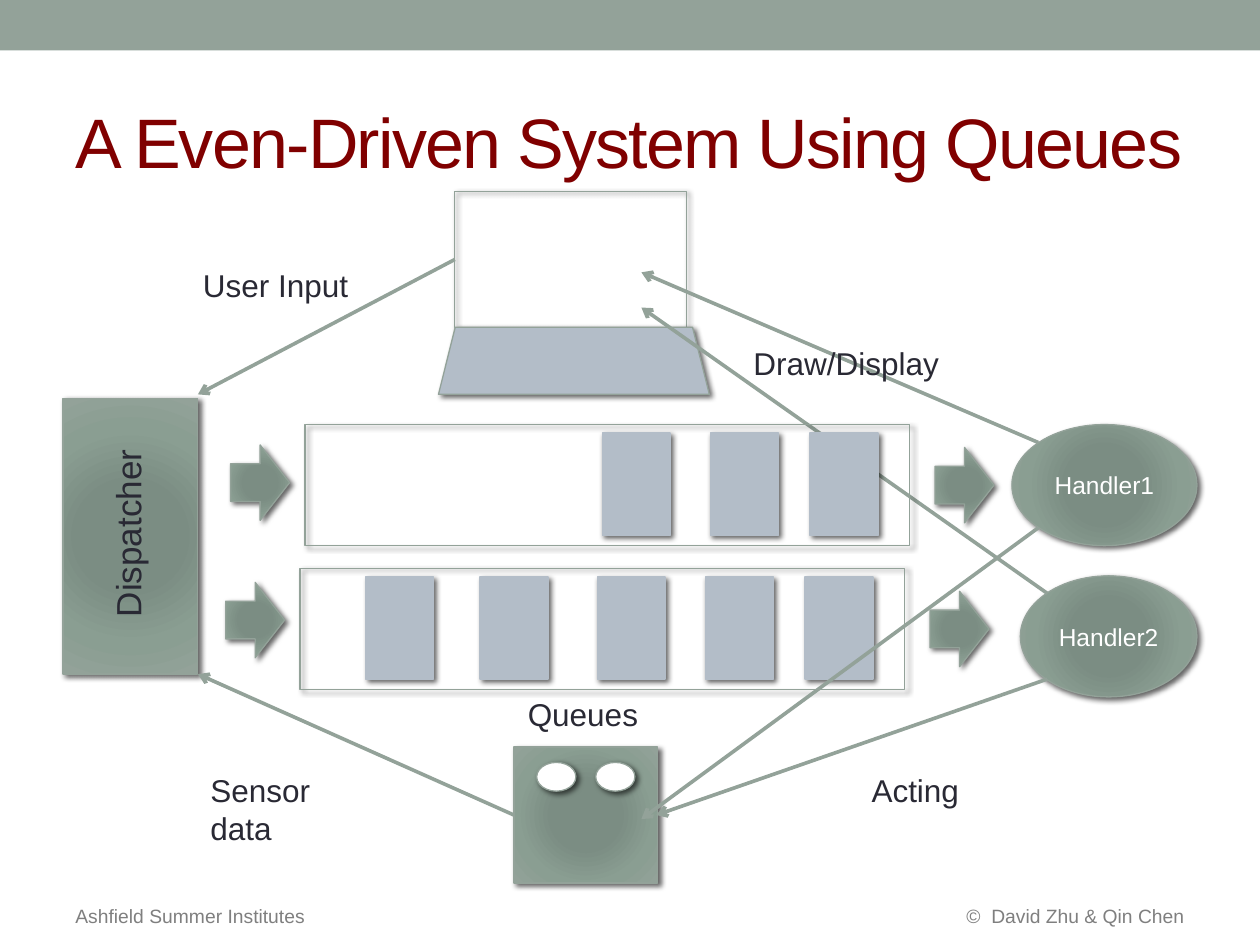
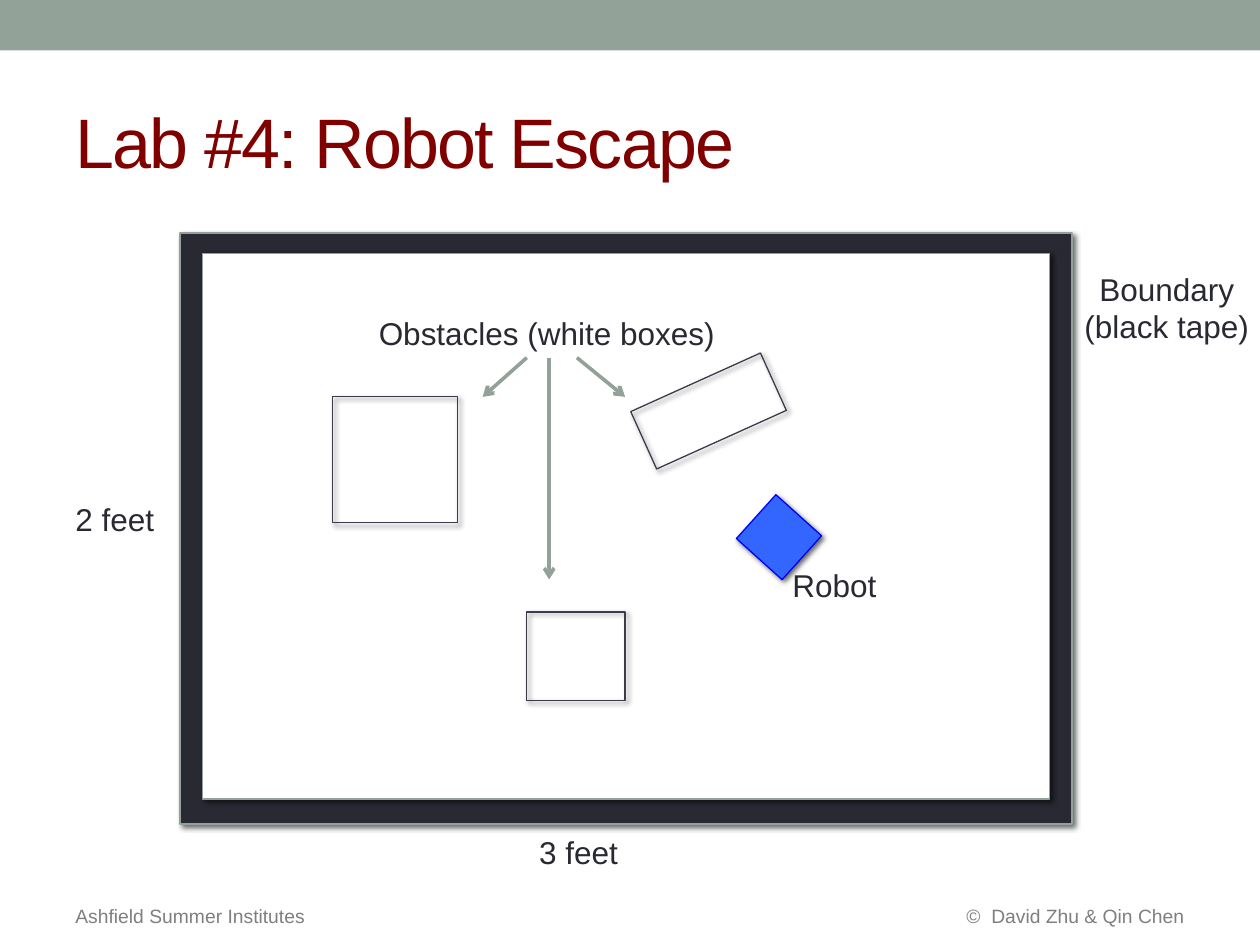
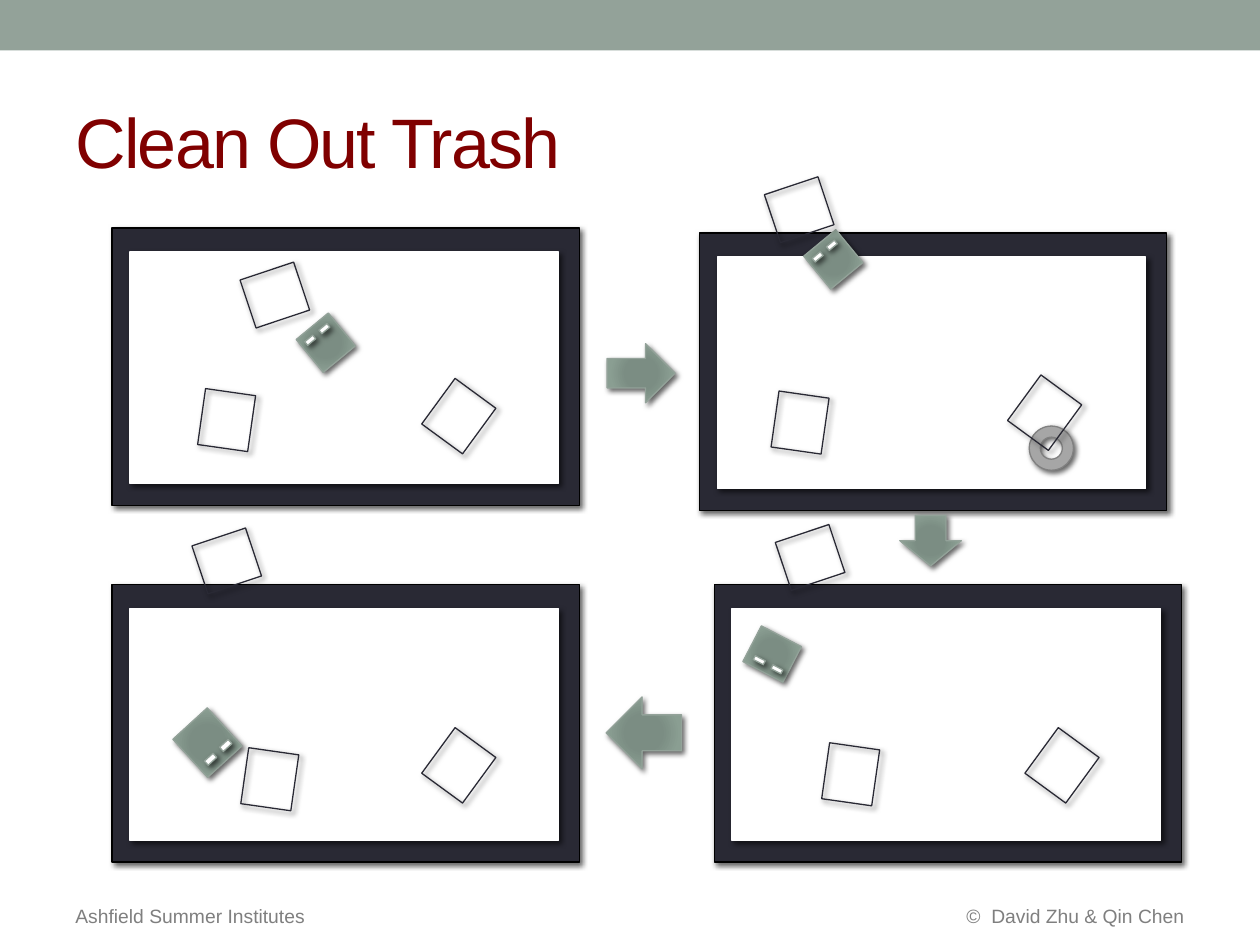
from dataclasses import dataclass

from pptx import Presentation
from pptx.dml.color import RGBColor
from pptx.enum.shapes import MSO_CONNECTOR, MSO_SHAPE
from pptx.enum.text import MSO_ANCHOR, PP_ALIGN
from pptx.oxml import parse_xml
from pptx.oxml.ns import nsdecls, qn
from pptx.util import Cm, Pt

RECT, OVAL, DONUT = MSO_SHAPE.RECTANGLE, MSO_SHAPE.OVAL, MSO_SHAPE.DONUT
TRAPEZOID = MSO_SHAPE.TRAPEZOID
RIGHT, DOWN, LEFT = MSO_SHAPE.RIGHT_ARROW, MSO_SHAPE.DOWN_ARROW, MSO_SHAPE.LEFT_ARROW
STRAIGHT = MSO_CONNECTOR.STRAIGHT
AL_LEFT, AL_CENTER, AL_RIGHT = PP_ALIGN.LEFT, PP_ALIGN.CENTER, PP_ALIGN.RIGHT
MIDDLE, BOTTOM = MSO_ANCHOR.MIDDLE, MSO_ANCHOR.BOTTOM

FONT = "Arial"
COLORS = {
    "sage": "93A299", "title": "800000", "ink": "292934", "footer": "7F7F7F",
    "block": "B3BDC8", "white": "FFFFFF", "black": "000000", "outline": "3B3B4B",
    "robot": "3366FF", "robot_line": "0000FF", "ring": "A6A6A6", "ring_line": "808080",
}
GRADIENT = "gradient"
GRADIENT_STOPS = ((0, "7B8E82"), (34, "7B8D83"), (70, "8A9E92"), (100, "93A299"))
FOOTER = (("Ashfield Summer Institutes", AL_LEFT), ("©  David Zhu & Qin Chen", AL_RIGHT))


# Element descriptions, lengths in centimetres
@dataclass
class Box:
    left: float
    top: float
    width: float
    height: float
    fill: str | None = None
    line: str = "sage"
    kind: int = RECT
    rot: float = 0
    text: str = ""


@dataclass
class Label:
    text: str
    left: float
    top: float
    width: float
    height: float = 1.02
    align: int = AL_LEFT
    size: int = 18
    rot: float = 0


@dataclass
class Arrow:
    x1: float
    y1: float
    x2: float
    y2: float


@dataclass
class Queue:
    left: float
    top: float
    events: int
    arrow_drop: float


@dataclass
class Robot:
    left: float
    top: float
    width: float
    height: float
    rot: float


@dataclass
class Room:
    left: float
    top: float
    robot: Robot
    trash: tuple[tuple[float, float], ...]


def rgb(name: str) -> RGBColor:
    return RGBColor.from_string(COLORS[name])


def format_text(tf, size: float, color: str, align: int) -> None:
    for p in tf.paragraphs:
        p.alignment = align
        for r in p.runs:
            r.font.name = FONT
            r.font.size = Pt(size)
            r.font.color.rgb = rgb(color)


# Drawing functions
def set_gradient(s) -> None:
    s.fill.gradient()
    spPr = s.element.spPr
    stops = "".join(f'<a:gs pos="{pos * 1000}"><a:srgbClr val="{color}"/></a:gs>'
                    for pos, color in GRADIENT_STOPS)
    spPr.replace(spPr.find(qn("a:gradFill")), parse_xml(
        f'<a:gradFill {nsdecls("a")} rotWithShape="1"><a:gsLst>{stops}</a:gsLst>'
        '<a:path path="circle"><a:fillToRect l="100000" t="100000" r="100000" b="100000"/>'
        '</a:path></a:gradFill>'))


def add_shadow(s) -> None:
    s.shadow.inherit = False
    s.element.spPr.find(qn("a:effectLst")).append(parse_xml(
        f'<a:outerShdw {nsdecls("a")} blurRad="{Pt(3)}" dist="{Pt(2)}" dir="2700000" '
        'algn="ctr" rotWithShape="0"><a:srgbClr val="000000"><a:alpha val="60000"/>'
        '</a:srgbClr></a:outerShdw>'))


def draw_box(slide, box: Box) -> None:
    s = slide.shapes.add_shape(box.kind, Cm(box.left), Cm(box.top),
                               Cm(box.width), Cm(box.height))
    s.rotation = box.rot
    if box.fill is None:
        s.fill.background()
    elif box.fill == GRADIENT:
        set_gradient(s)
    else:
        s.fill.solid()
        s.fill.fore_color.rgb = rgb(box.fill)
    s.line.color.rgb = rgb(box.line)
    s.line.width = Pt(0.75)
    add_shadow(s)
    if box.text:
        s.text_frame.text = box.text
        s.text_frame.vertical_anchor = MIDDLE
        format_text(s.text_frame, 14, "white", AL_CENTER)


def draw_label(slide, label: Label) -> None:
    s = slide.shapes.add_textbox(Cm(label.left), Cm(label.top),
                                 Cm(label.width), Cm(label.height))
    s.rotation = label.rot
    tf = s.text_frame
    tf.word_wrap = False
    tf.text = label.text
    format_text(tf, label.size, "ink", label.align)


def draw_arrow(slide, arrow: Arrow) -> None:
    s = slide.shapes.add_connector(STRAIGHT, Cm(arrow.x1), Cm(arrow.y1),
                                   Cm(arrow.x2), Cm(arrow.y2))
    s.line.color.rgb = rgb("sage")
    s.line.width = Pt(2.08)
    spPr = s.element.spPr
    spPr.find(qn("a:ln")).append(parse_xml(f'<a:tailEnd {nsdecls("a")} type="arrow"/>'))
    spPr.append(parse_xml(f'<a:effectLst {nsdecls("a")}/>'))


def draw_all(slide, items) -> None:
    draw = {Box: draw_box, Label: draw_label, Arrow: draw_arrow}
    for item in items:
        draw[type(item)](slide, item)


# Shared slide frame: band, footer, title
def draw_footer(slide) -> None:
    table = slide.shapes.add_table(1, 2, Cm(1.27), Cm(17.98), Cm(22.86), Cm(0.97)).table
    table.first_row = table.horz_banding = False
    for cell, (text, align) in zip(table.rows[0].cells, FOOTER):
        cell.fill.background()
        cell.vertical_anchor = BOTTOM
        cell.margin_left = cell.margin_right = Cm(0.25)
        cell.margin_top = cell.margin_bottom = Cm(0.25)
        cell.text_frame.text = text
        format_text(cell.text_frame, 11, "footer", align)


def new_slide(prs, title: str):
    slide = prs.slides.add_slide(prs.slide_layouts[6])
    band = slide.shapes.add_shape(RECT, 0, 0, prs.slide_width, Cm(1.02))
    band.shadow.inherit = False
    band.fill.solid()
    band.fill.fore_color.rgb = rgb("sage")
    band.line.fill.background()
    draw_footer(slide)
    tf = slide.shapes.add_textbox(Cm(1.27), Cm(1.47), Cm(22.86), Cm(2.74)).text_frame
    tf.word_wrap = True
    tf.vertical_anchor = MIDDLE
    tf.text = title
    format_text(tf, 40, "title", AL_LEFT)
    tf.paragraphs[0].runs[0].font._element.set("spc", "-100")
    return slide


# Slide 1: event-driven system
EVENT_SLOTS = (1.32, 3.63, 5.99, 8.17, 10.18)


def draw_queue(slide, queue: Queue) -> None:
    x, y = queue.left, queue.top
    draw_box(slide, Box(x, y, 12.19, 2.44))
    for dx, dy in ((-1.5, queue.arrow_drop), (12.7, 0.46)):
        draw_box(slide, Box(x + dx, y + dy, 1.19, 1.52, GRADIENT, kind=RIGHT))
    for slot in EVENT_SLOTS[-queue.events:]:
        draw_box(slide, Box(x + slot, y + 0.17, 1.37, 2.06, "block", "block"))


def build_queues(prs) -> None:
    slide = new_slide(prs, "A Even-Driven System Using Queues")
    draw_queue(slide, Queue(6.05, 11.46, 5, 0.28))
    draw_all(slide, (
        # Robot with two eyes, dispatcher, laptop
        Box(10.36, 15.06, 2.9, 2.74, GRADIENT),
        *(Box(x, 15.37, 0.79, 0.58, "white", kind=OVAL) for x in (10.82, 12.01)),
        Box(1.27, 8.03, 2.72, 5.56, GRADIENT),
        Box(9.17, 3.86, 4.67, 2.74),
        Box(8.84, 6.6, 5.46, 1.35, "block", kind=TRAPEZOID),
        # Handlers and their actions
        Box(20.57, 11.61, 3.56, 2.44, GRADIENT, kind=OVAL, text="Handler2"),
        Arrow(21.11, 11.96, 12.93, 6.2),
        Arrow(21.11, 13.69, 13.23, 16.43),
        Arrow(10.36, 16.43, 3.99, 13.59),
        Box(20.4, 8.56, 3.73, 2.44, GRADIENT, kind=OVAL, text="Handler1"),
        Arrow(20.93, 8.92, 12.93, 5.49),
        Arrow(20.93, 10.64, 12.93, 16.51),
    ))
    draw_queue(slide, Queue(6.15, 8.56, 3, 0.41))
    draw_all(slide, (
        Arrow(9.17, 5.23, 3.99, 7.95),
        Label("Sensor\ndata", 3.99, 15.42, 2.54, 1.8),
        Label("Acting", 17.32, 15.42, 2.34),
        Label("Draw/Display", 14.94, 6.81, 4.29),
        Label("Dispatcher", 0.61, 10.16, 3.94, 1.12, size=20, rot=270),
        Label("User Input", 3.84, 5.23, 3.48),
        Label("Queues", 10.39, 13.89, 2.77),
    ))


# Slide 2: lab arena
def build_escape(prs) -> None:
    slide = new_slide(prs, "Lab #4: Robot Escape")
    draw_all(slide, (
        # Taped boundary and robot
        Box(3.63, 4.7, 17.98, 11.91, "ink"),
        Box(4.09, 5.11, 17.07, 11, "white"),
        Box(15.11, 10.21, 1.19, 1.24, "robot", "robot_line", rot=312),
        Label("Boundary\n(black tape)", 21.59, 5.31, 3.86, 1.8, AL_CENTER),
        Label("Robot", 15.7, 11.28, 2.24, align=AL_CENTER),
        # Obstacles
        Box(6.71, 8, 2.51, 2.54, line="outline"),
        Box(12.85, 7.65, 2.87, 1.27, line="outline", rot=335.7),
        Box(10.62, 12.34, 1.98, 1.78, line="outline"),
        Label("Obstacles (white boxes)", 7.34, 6.2, 7.37, align=AL_CENTER),
        Arrow(10.62, 7.21, 9.73, 8),
        Arrow(11.07, 7.21, 11.07, 11.68),
        Arrow(11.63, 7.21, 12.6, 8),
        # Dimensions
        Label("2 feet", 1.27, 9.96, 2.11),
        Label("3 feet", 10.62, 16.66, 2.11),
    ))


# Slide 3: four stages of cleaning
TRASH_TILTS = (71.5, 8.1, 36.2)
ROOMS = (
    Room(2.26, 4.6, Robot(6.15, 6.48, 0.84, 0.86, 320.5),
         ((5.03, 5.38), (4.06, 7.9), (8.74, 7.82))),
    Room(14.1, 4.7, Robot(16.38, 4.8, 0.84, 0.86, 320.5),
         ((15.6, 3.66), (15.62, 7.95), (20.55, 7.75))),
    Room(14.4, 11.79, Robot(15.11, 12.78, 0.91, 0.81, 207.4),
         ((15.82, 10.67), (16.64, 15.04), (20.9, 14.86))),
    Room(2.26, 11.79, Robot(3.71, 14.45, 0.94, 1.04, 137.6),
         ((4.06, 10.74), (4.93, 15.14), (8.74, 14.86))),
)


def draw_robot(slide, robot: Robot) -> None:
    w, h = robot.width, robot.height
    draw_box(slide, Box(robot.left, robot.top, w, h, GRADIENT, rot=robot.rot))
    # Eyes turn with the body around its centre
    angle = math.radians(robot.rot)
    eye_w, eye_h = 0.25 * w, 0.11 * h
    for dx, dy in ((-0.25 * w, -0.28 * h), (0.19 * w, -0.28 * h)):
        x = robot.left + w / 2 + dx * math.cos(angle) - dy * math.sin(angle)
        y = robot.top + h / 2 + dx * math.sin(angle) + dy * math.cos(angle)
        draw_box(slide, Box(x - eye_w / 2, y - eye_h / 2, eye_w, eye_h,
                            "white", rot=robot.rot))


def build_cleanup(prs) -> None:
    slide = new_slide(prs, "Clean Out Trash")
    for room in ROOMS:
        draw_box(slide, Box(room.left, room.top, 9.42, 5.59, "ink", "black"))
        draw_box(slide, Box(room.left + 0.36, room.top + 0.48, 8.64, 4.67,
                            "white", "white"))
        draw_robot(slide, room.robot)
    draw_box(slide, Box(20.75, 8.59, 0.89, 0.89, "ring", "ring_line", DONUT))
    for room in ROOMS:
        for (x, y), tilt in zip(room.trash, TRASH_TILTS):
            draw_box(slide, Box(x, y, 1.02, 1.14, line="ink", rot=tilt))
    # Order of the stages
    draw_all(slide, (
        Box(12.24, 6.93, 1.37, 1.19, GRADIENT, kind=RIGHT),
        Box(18.14, 10.39, 1.24, 1.02, GRADIENT, kind=DOWN),
        Box(12.22, 14.05, 1.52, 1.45, GRADIENT, kind=LEFT),
    ))


def main() -> None:
    prs = Presentation()
    prs.slide_width, prs.slide_height = Cm(25.4), Cm(19.05)
    build_queues(prs)
    build_escape(prs)
    build_cleanup(prs)
    prs.save("out.pptx")


import math

if __name__ == "__main__":
    main()
